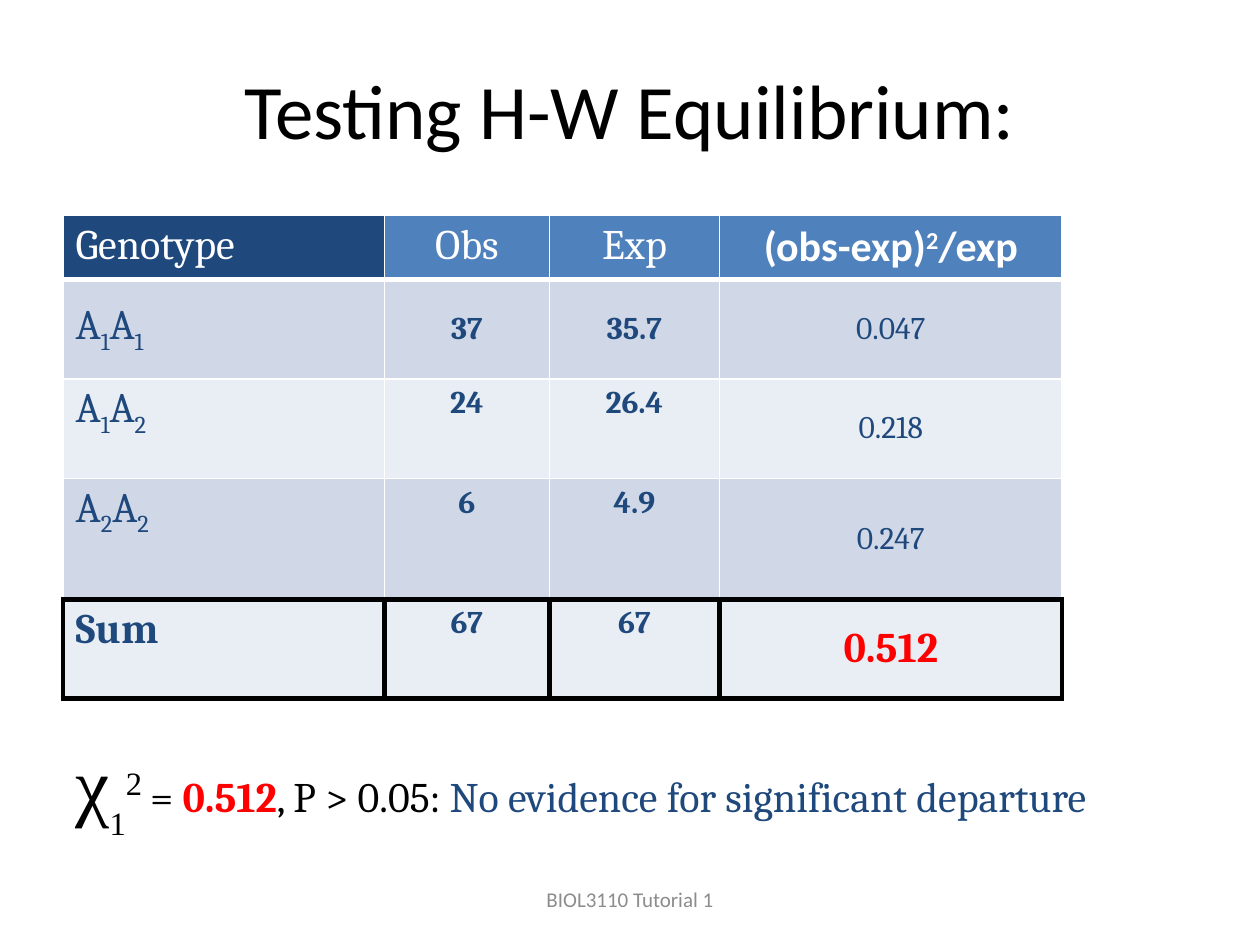
from dataclasses import dataclass

from lxml.etree import SubElement
from pptx import Presentation
from pptx.dml.color import RGBColor
from pptx.enum.text import MSO_ANCHOR as Anchor, PP_ALIGN as Align
from pptx.oxml import parse_xml
from pptx.oxml.ns import nsdecls, qn
from pptx.util import Inches, Pt


@dataclass(frozen=True)
class Theme:
    # Colours
    black: str = "000000"
    white: str = "FFFFFF"
    navy: str = "1F497D"
    blue: str = "4F81BD"
    band_dark: str = "D0D8E8"
    band_light: str = "E9EDF4"
    red: str = "FF0000"
    grey: str = "8C8C8C"
    # Fonts
    sans: str = "Calibri"
    serif: str = "Cambria"
    symbol: str = "Times New Roman"
    # Type sizes in points
    title: int = 44
    script: int = 32
    body: int = 24
    value: int = 18
    footer: int = 12


@dataclass(frozen=True)
class Span:
    text: str
    size: int
    color: str
    font: str = Theme.serif
    bold: bool = False
    baseline: int = 0


@dataclass(frozen=True)
class Cell:
    spans: list
    fill: str
    align: Align = Align.CENTER
    anchor: Anchor = Anchor.TOP


class SlideBuilder:
    """Holds the theme and the current slide; places parts by shares of the slide."""

    def __init__(self, deck, theme):
        self.deck = deck
        self.theme = theme
        self.page = deck.slides.add_slide(deck.slide_layouts[5])

    def place(self, left, top, width, height):
        wide, high = self.deck.slide_width, self.deck.slide_height
        return [int(wide * left), int(high * top), int(wide * width), int(high * height)]

    def add_spans(self, frame, spans, align):
        para = frame.paragraphs[0]
        para.alignment = align
        for item in spans:
            span = para.add_run()
            span.text = item.text
            span.font.name = item.font
            span.font.size = Pt(item.size)
            span.font.bold = item.bold
            span.font.color.rgb = RGBColor.from_string(item.color)
            if item.baseline:
                span._r.get_or_add_rPr().set("baseline", str(item.baseline * 1000))

    def title(self, area, text):
        box = self.page.shapes.title
        box.left, box.top, box.width, box.height = self.place(*area)
        box.text_frame.vertical_anchor = Anchor.MIDDLE
        span = Span(text, self.theme.title, self.theme.black, self.theme.sans)
        self.add_spans(box.text_frame, [span], Align.CENTER)

    def text(self, area, spans, align=Align.LEFT, anchor=Anchor.TOP):
        frame = self.page.shapes.add_textbox(*self.place(*area)).text_frame
        frame.word_wrap = True
        frame.vertical_anchor = anchor
        self.add_spans(frame, spans, align)

    def border(self, cell, edges):
        """Edges are (colour, points) pairs in the order left, right, top, bottom."""
        props = cell._tc.get_or_add_tcPr()
        for index, (side, (color, points)) in enumerate(zip("LRTB", edges)):
            line = parse_xml(f'<a:ln{side} {nsdecls("a")} w="{Pt(points)}"/>')
            fill = SubElement(line, qn("a:solidFill"))
            SubElement(fill, qn("a:srgbClr"), val=color)
            props.insert(index, line)

    def table(self, left, top, columns, heights, rows):
        area = self.place(left, top, sum(columns) / 10, sum(heights) / 7.5)
        grid = self.page.shapes.add_table(len(rows), len(columns), *area).table
        grid.first_row = grid.horz_banding = False
        for column, width in zip(grid.columns, columns):
            column.width = Inches(width)
        for row, height in zip(grid.rows, heights):
            row.height = Inches(height)

        # Thin white rules, a thick one below the header, a black frame for the sum
        thin, thick = (self.theme.white, 1), (self.theme.white, 3)
        frame = (self.theme.black, 3)
        last = len(rows) - 1
        rules = [thin, thick] + [thin] * (last - 2) + [frame, frame]
        for row_index, row in enumerate(rows):
            side = frame if row_index == last else thin
            edges = [side, side, rules[row_index], rules[row_index + 1]]
            for column_index, item in enumerate(row):
                cell = grid.cell(row_index, column_index)
                cell.fill.solid()
                cell.fill.fore_color.rgb = RGBColor.from_string(item.fill)
                cell.vertical_anchor = item.anchor
                self.add_spans(cell.text_frame, item.spans, item.align)
                self.border(cell, edges)


def header_row(theme):
    def plain(text):
        return [Span(text, theme.body, theme.white)]

    formula = [
        Span(text, theme.body, theme.white, theme.sans, True, baseline)
        for text, baseline in [("(obs-exp)", 0), ("2", 30), ("/exp", 0)]
    ]
    return [
        Cell(plain("Genotype"), theme.navy, Align.LEFT),
        Cell(plain("Obs"), theme.blue),
        Cell(plain("Exp"), theme.blue),
        Cell(formula, theme.blue),
    ]


def value_row(theme, label, counts, result, fill, anchor=Anchor.TOP):
    cells = [Cell(label, fill, Align.LEFT, anchor)]
    for count in counts:
        span = Span(count, theme.value, theme.navy, bold=True)
        cells.append(Cell([span], fill, anchor=anchor))
    return cells + [Cell([result], fill, anchor=Anchor.MIDDLE)]


def genotype_row(theme, alleles, counts, result, fill, anchor=Anchor.TOP):
    label = []
    for allele in alleles:
        label.append(Span("A", theme.body, theme.navy))
        label.append(Span(allele, theme.body, theme.navy, baseline=-25))
    span = Span(result, theme.value, theme.navy)
    return value_row(theme, label, counts, span, fill, anchor)


def main():
    theme = Theme()
    deck = Presentation()
    deck.slide_width, deck.slide_height = Inches(10), Inches(7.5)
    slide = SlideBuilder(deck, theme)
    slide.title((0.05, 0.03, 0.9, 0.17), "Testing H-W Equilibrium:")

    # Observed and expected genotype counts
    total = Span("0.512", theme.body, theme.red, bold=True)
    sum_label = [Span("Sum", theme.body, theme.navy, bold=True)]
    dark, light = theme.band_dark, theme.band_light
    rows = [
        header_row(theme),
        genotype_row(theme, "11", ["37", "35.7"], "0.047", dark, Anchor.MIDDLE),
        genotype_row(theme, "12", ["24", "26.4"], "0.218", light),
        genotype_row(theme, "22", ["6", "4.9"], "0.247", dark),
        value_row(theme, sum_label, ["67", "67"], total, light),
    ]
    slide.table(0.05, 1.71 / 7.5, [2.55, 1.31, 1.35, 2.72], [0.5, 0.79, 0.79, 0.96, 0.79], rows)

    # Test result
    slide.text((0.05, 5.79 / 7.5, 0.94, 0.11), [
        Span("χ", theme.title, theme.black, theme.symbol),
        Span("1", theme.script, theme.black, theme.symbol, baseline=-40),
        Span("2 ", theme.script, theme.black, theme.symbol, baseline=30),
        Span("= ", theme.body, theme.black),
        total,
        Span(", P > 0.05: ", theme.body, theme.black),
        Span("No evidence for significant departure", theme.body, theme.navy),
    ])

    # Footer
    footer = Span("BIOL3110 Tutorial 1", theme.footer, theme.grey, theme.sans)
    slide.text((0.34, 6.95 / 7.5, 0.32, 0.05), [footer], Align.CENTER, Anchor.MIDDLE)

    deck.save("out.pptx")


if __name__ == "__main__":
    main()
